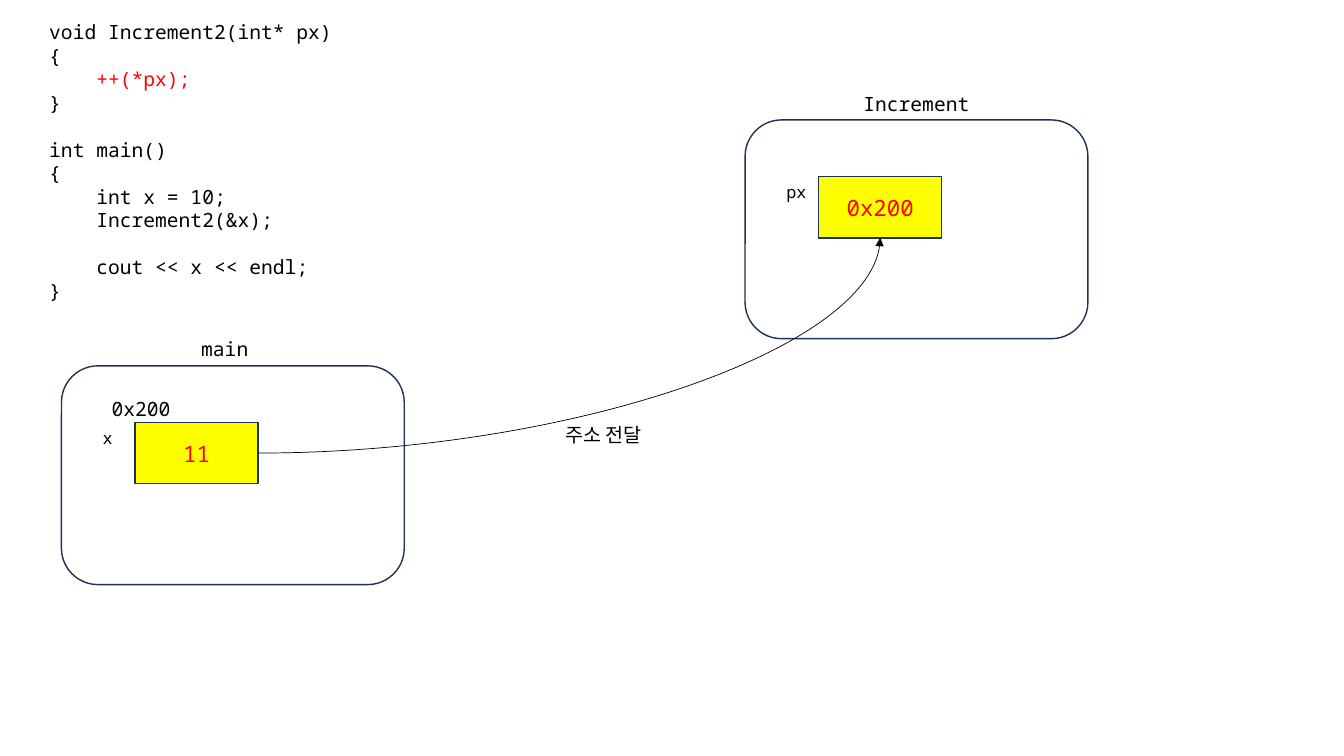
from dataclasses import dataclass

from lxml import etree
from pptx import Presentation
from pptx.dml.color import RGBColor
from pptx.enum.shapes import MSO_CONNECTOR, MSO_SHAPE
from pptx.enum.text import MSO_ANCHOR, PP_ALIGN
from pptx.oxml.ns import qn
from pptx.util import Inches, Pt

RECTANGLE, ROUNDED = MSO_SHAPE.RECTANGLE, MSO_SHAPE.ROUNDED_RECTANGLE
CURVE = MSO_CONNECTOR.CURVE
LEFT, CENTER = PP_ALIGN.LEFT, PP_ALIGN.CENTER
TOP, MIDDLE = MSO_ANCHOR.TOP, MSO_ANCHOR.MIDDLE
BOTTOM_SITE, RIGHT_SITE = 2, 3
BLANK_LAYOUT = 6


@dataclass(frozen=True)
class Theme:
    font: str = "Noto Sans Mono"
    ink: RGBColor = RGBColor(0, 0, 0)
    accent: RGBColor = RGBColor(255, 0, 0)
    paper: RGBColor = RGBColor(255, 255, 255)
    cell: RGBColor = RGBColor(255, 255, 0)
    outline: RGBColor = RGBColor(0x1E, 0x32, 0x56)
    small: int = 12
    body: int = 14
    value: int = 16


CODE = """void Increment2(int* px)
{
    ++(*px);
}

int main()
{
    int x = 10;
    Increment2(&x);

    cout << x << endl;
}"""
CHANGED_LINE = "    ++(*px);"


class MemoryDiagram:
    FRAME_SIZE = (3.4, 2.17)
    CELL_SIZE = (1.22, 0.61)
    CELL_OFFSET = (0.73, 0.56)
    VARIABLE_WIDTH = 0.42
    LABEL_HEIGHT = 0.34

    def __init__(self, page, theme):
        self.page = page
        self.theme = theme

    def fill_text(self, frame, lines, size, align=CENTER, anchor=TOP):
        """Fill a text frame with (text, colour) lines."""
        for name, value in {"word_wrap": True, "vertical_anchor": anchor}.items():
            setattr(frame, name, value)
        for index, (text, color) in enumerate(lines):
            para = frame.add_paragraph() if index else frame.paragraphs[0]
            para.alignment = align
            if not text:
                etree.SubElement(para._p, qn("a:endParaRPr"), sz=str(size * 100))
                continue
            span = para.add_run()
            span.text = text
            for name, value in {"name": self.theme.font, "size": Pt(size)}.items():
                setattr(span.font, name, value)
            span.font.color.rgb = color

    def text(self, left, top, width, height, lines, size, align=CENTER):
        box = self.page.shapes.add_textbox(*map(Inches, (left, top, width, height)))
        self.fill_text(box.text_frame, lines, size, align)

    def label(self, left, top, width, text):
        self.text(left, top, width, self.LABEL_HEIGHT,
                  [(text, self.theme.ink)], self.theme.body)

    def shape(self, kind, left, top, size, fill):
        box = self.page.shapes.add_shape(kind, *map(Inches, (left, top, *size)))
        box.shadow.inherit = False
        box.fill.solid()
        box.fill.fore_color.rgb = fill
        box.line.color.rgb = self.theme.outline
        box.line.width = Pt(1)
        return box

    def stack_frame(self, left, top, variable, value):
        """Draw a function's frame with one variable; return the value cell."""
        theme = self.theme
        self.shape(ROUNDED, left, top, self.FRAME_SIZE, theme.paper)
        cell_left, cell_top = left + self.CELL_OFFSET[0], top + self.CELL_OFFSET[1]
        cell = self.shape(RECTANGLE, cell_left, cell_top, self.CELL_SIZE, theme.cell)
        self.fill_text(cell.text_frame, [(value, theme.accent)], theme.value, anchor=MIDDLE)
        self.text(cell_left - self.VARIABLE_WIDTH, cell_top, self.VARIABLE_WIDTH, 0.3,
                  [(variable, theme.ink)], theme.small, LEFT)
        return cell

    def curved_arrow(self, source, target):
        arrow = self.page.shapes.add_connector(CURVE, 0, 0, 0, 0)
        arrow.begin_connect(source, RIGHT_SITE)
        arrow.end_connect(target, BOTTOM_SITE)
        arrow.line.color.rgb = self.theme.ink
        arrow.line.width = Pt(0.5)
        properties = arrow._element.spPr
        properties.find(qn("a:prstGeom")).set("prst", "curvedConnector2")
        etree.SubElement(properties.find(qn("a:ln")), qn("a:tailEnd"), type="triangle")
        etree.SubElement(properties, qn("a:effectLst"))


def main():
    theme = Theme()
    deck = Presentation()
    deck.slide_width, deck.slide_height = Inches(13.33), Inches(7.5)
    page = deck.slides.add_slide(deck.slide_layouts[BLANK_LAYOUT])
    diagram = MemoryDiagram(page, theme)

    # Source code
    code = [(line, theme.accent if line == CHANGED_LINE else theme.ink)
            for line in CODE.split("\n")]
    diagram.text(0.39, 0.15, 6.67, 2.93, code, theme.body, LEFT)

    # Stack frames of the two functions
    x_cell = diagram.stack_frame(0.61, 3.63, "x", "11")
    px_cell = diagram.stack_frame(7.39, 1.19, "px", "0x200")
    diagram.label(1.81, 3.29, 0.84, "main")
    diagram.label(8.36, 0.86, 1.46, "Increment")
    diagram.label(0.93, 3.89, 0.94, "0x200")

    # Address passed from main to Increment
    diagram.curved_arrow(x_cell, px_cell)
    diagram.label(5.17, 4.15, 1.63, "주소 전달")

    deck.save("out.pptx")


if __name__ == "__main__":
    main()
